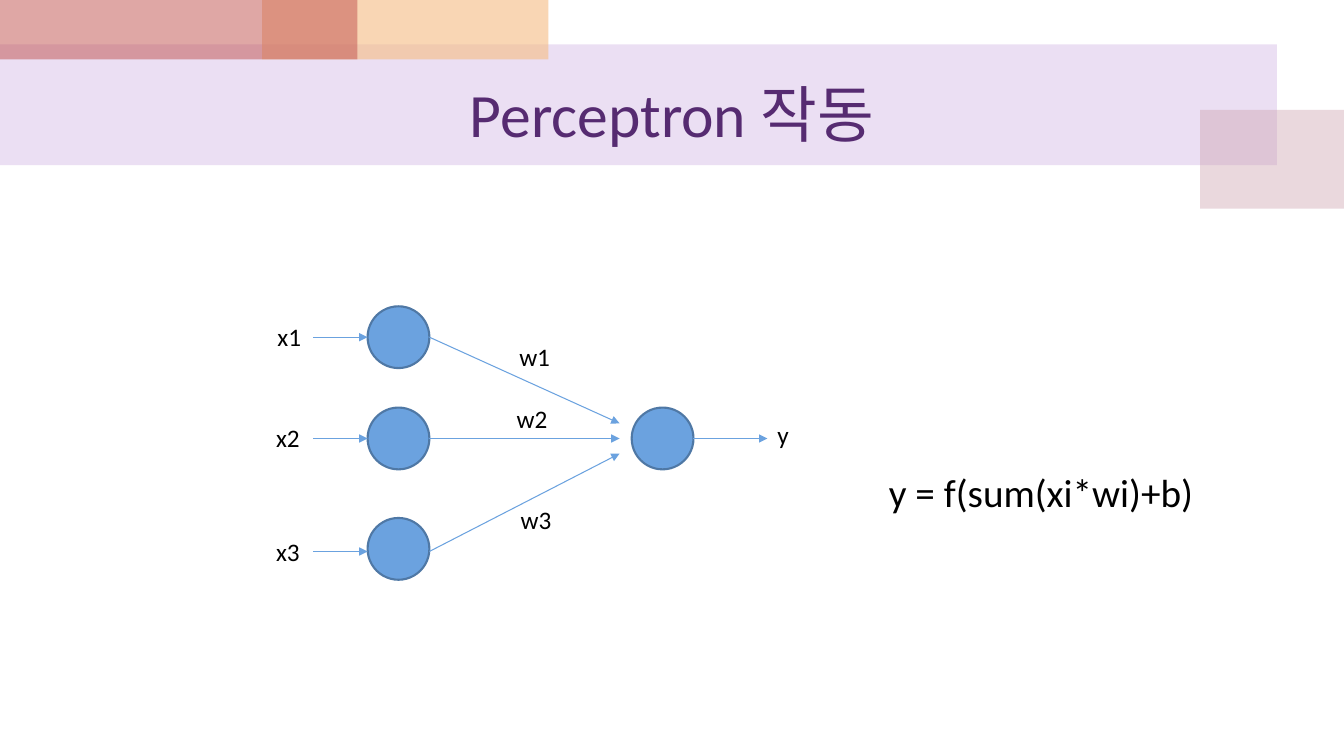
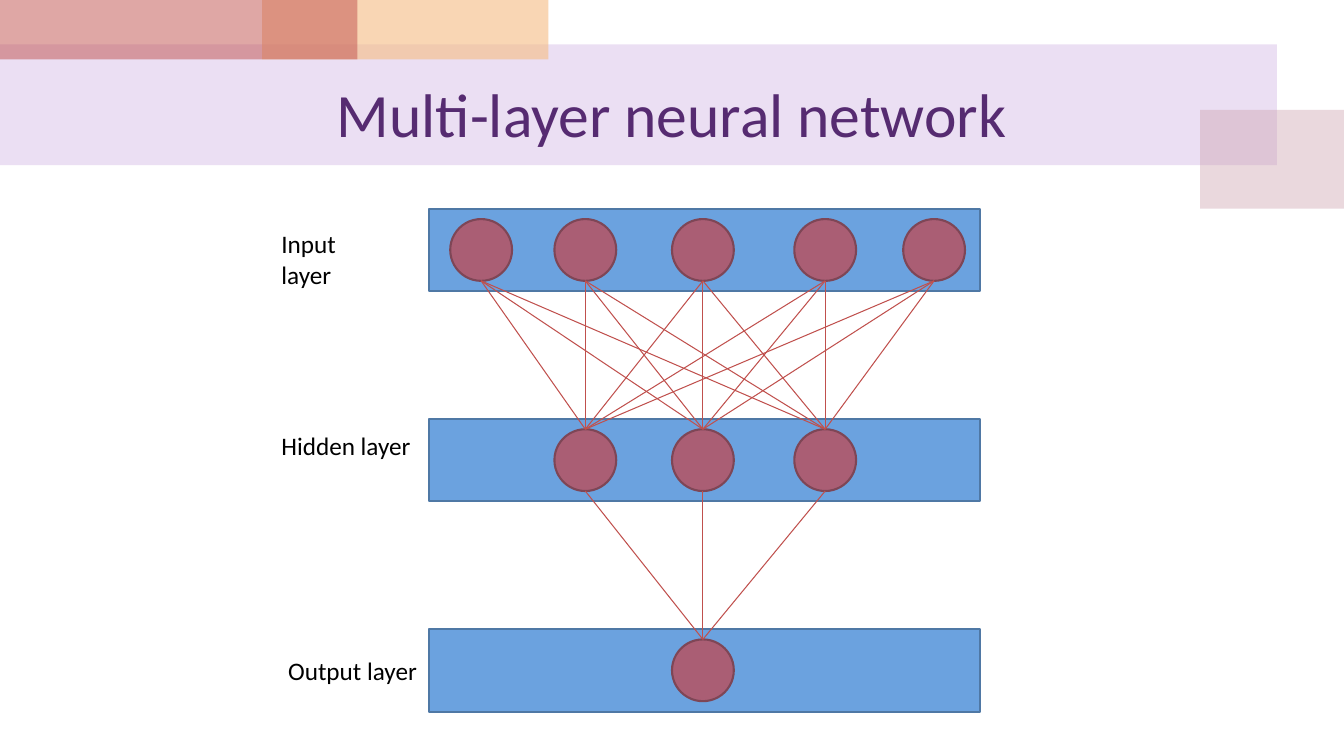
"""Build two slides on the perceptron and the multi-layer neural network."""
from dataclasses import dataclass
from itertools import product

from lxml.etree import SubElement
from pptx import Presentation
from pptx.dml.color import RGBColor
from pptx.enum.shapes import MSO_CONNECTOR as Connector, MSO_SHAPE as Preset
from pptx.enum.text import MSO_ANCHOR as Anchor, MSO_AUTO_SIZE as AutoSize, PP_ALIGN as Align
from pptx.oxml.ns import qn
from pptx.util import Inches, Pt


@dataclass(frozen=True)
class Theme:
    font: str = "Calibri"
    title: str = "562B71"
    text: str = "000000"
    lilac: str = "BF98D8"
    rose: str = "CC9EAC"
    orange: str = "F5BC83"
    red: str = "C0504D"
    blue: str = "6BA2DF"
    blue_edge: str = "4F78A5"
    plum: str = "AA5E74"
    plum_edge: str = "7E4656"
    title_size: int = 44
    formula_size: int = 28
    label_size: int = 18
    edge_width: float = 1.5
    link_width: float = 0.75


theme = Theme()
presentation = Presentation()
presentation.slide_width, presentation.slide_height = Inches(13.33), Inches(7.5)
column = presentation.slide_width / 100
row = presentation.slide_height / 100
node_width = 4.6
node_height = node_width * column / row


def add_block(slide, preset, left, top, width, height, fill, edge=None):
    shape = slide.shapes.add_shape(
        preset, int(left * column), int(top * row), int(width * column), int(height * row))
    shape.shadow.inherit = False
    shape.fill.solid()
    shape.fill.fore_color.rgb = RGBColor.from_string(fill)
    if edge:
        shape.line.color.rgb = RGBColor.from_string(edge)
        shape.line.width = Pt(theme.edge_width)
    else:
        shape.line.fill.background()
    return shape


def add_link(slide, start, end, color, arrow=False):
    link = slide.shapes.add_connector(
        Connector.STRAIGHT, int(start[0] * column), int(start[1] * row),
        int(end[0] * column), int(end[1] * row))
    link.line.color.rgb = RGBColor.from_string(color)
    link.line.width = Pt(theme.link_width)
    if arrow:
        SubElement(link.line._get_or_add_ln(), qn("a:tailEnd"), type="triangle")
    SubElement(link.element.spPr, qn("a:effectLst"))


layout = presentation.slide_layouts[5]
for placeholder in list(layout.placeholders):
    if placeholder.placeholder_format.idx:
        placeholder.element.getparent().remove(placeholder.element)
    else:
        placeholder.left, placeholder.top = int(5 * column), int(7.87 * row)
        placeholder.width, placeholder.height = int(90 * column), int(14 * row)

perceptron = presentation.slides.add_slide(layout)
network = presentation.slides.add_slide(layout)

bands = [
    (0, 5.87, 95, 16, theme.lilac, 30),
    (89.3, 14.53, 10.7, 13.07, theme.rose, 40),
    (19.5, 0, 21.3, 7.87, theme.orange, 60),
    (0, 0, 26.6, 7.87, theme.red, 50),
]
for *box, color, opacity in bands:
    band = add_block(perceptron, Preset.RECTANGLE, *box, color)
    fill_color = band.element.spPr.find(qn("a:solidFill")).find(qn("a:srgbClr"))
    SubElement(fill_color, qn("a:alpha"), val=str(opacity * 1000))
    layout.shapes.element.append(band.element)

for slide, title in [(perceptron, "Perceptron 작동"), (network, "Multi-layer neural network")]:
    frame = slide.shapes.title.text_frame
    frame.text = title
    frame.vertical_anchor = Anchor.MIDDLE
    paragraph = frame.paragraphs[0]
    paragraph.alignment = Align.CENTER
    font = paragraph.runs[0].font
    font.name, font.size = theme.font, Pt(theme.title_size)
    font.color.rgb = RGBColor.from_string(theme.title)

input_x, output_x, output_y = 29.65, 49.3, 58
for x, y in [(input_x, 44.6), (input_x, output_y), (input_x, 72.6), (output_x, output_y)]:
    add_block(perceptron, Preset.OVAL, x - node_width / 2, y - node_height / 2,
              node_width, node_height, theme.blue, theme.blue_edge)
for y, offset in [(44.6, -2), (output_y, 0), (72.95, 2)]:
    add_link(perceptron, (23.3, y), (input_x - node_width / 2, y), theme.blue, arrow=True)
    add_link(perceptron, (input_x + node_width / 2, y), (46.1, output_y + offset),
             theme.blue, arrow=True)
add_link(perceptron, (output_x + node_width / 2, output_y), (57.1, output_y),
         theme.blue, arrow=True)

layer_height = 10.93
layers = [[35.8, 43.55, 52.3, 61.4, 69.5], [43.55, 52.3, 61.4], [52.3]]
layer_tops = [27.6 + 27.8 * index for index in range(len(layers))]
node_inset = (layer_height - node_height) / 2
for top, centers in zip(layer_tops, layers):
    add_block(network, Preset.RECTANGLE, 31.9, top, 41, layer_height, theme.blue, theme.blue_edge)
    for x in centers:
        add_block(network, Preset.OVAL, x - node_width / 2, top + node_inset,
                  node_width, node_height, theme.plum, theme.plum_edge)
for index in range(len(layers) - 1):
    start_y = layer_tops[index] + layer_height - node_inset
    end_y = layer_tops[index + 1] + node_inset
    for start_x, end_x in product(layers[index], layers[index + 1]):
        add_link(network, (start_x, start_y), (end_x, end_y), theme.red)

labels = [
    (perceptron, "w1", 37.9, 44.5, 4, theme.label_size),
    (perceptron, "w2", 37.7, 52.7, 4, theme.label_size),
    (perceptron, "w3", 38, 66.1, 4, theme.label_size),
    (perceptron, "x1", 19.9, 41.9, 4, theme.label_size),
    (perceptron, "x2", 19.8, 55.2, 4, theme.label_size),
    (perceptron, "x3", 19.8, 70.3, 4, theme.label_size),
    (perceptron, "y", 57.1, 54.8, 3, theme.label_size),
    (perceptron, "y = f(sum(xi*wi)+b)", 65.4, 61.3, 25, theme.formula_size),
    (network, "Hidden layer", 20.2, 56.3, 12, theme.label_size),
    (network, "Input layer", 20.2, 29.6, 9.4, theme.label_size),
    (network, "Output layer", 20.7, 86, 12, theme.label_size),
]
for slide, text, left, top, width, size in labels:
    label = slide.shapes.add_textbox(
        int(left * column), int(top * row), int(width * column), int(5.33 * row))
    frame = label.text_frame
    frame.word_wrap = True
    frame.auto_size = AutoSize.SHAPE_TO_FIT_TEXT
    frame.text = text
    font = frame.paragraphs[0].runs[0].font
    font.name, font.size = theme.font, Pt(size)
    font.color.rgb = RGBColor.from_string(theme.text)

presentation.save("out.pptx")
